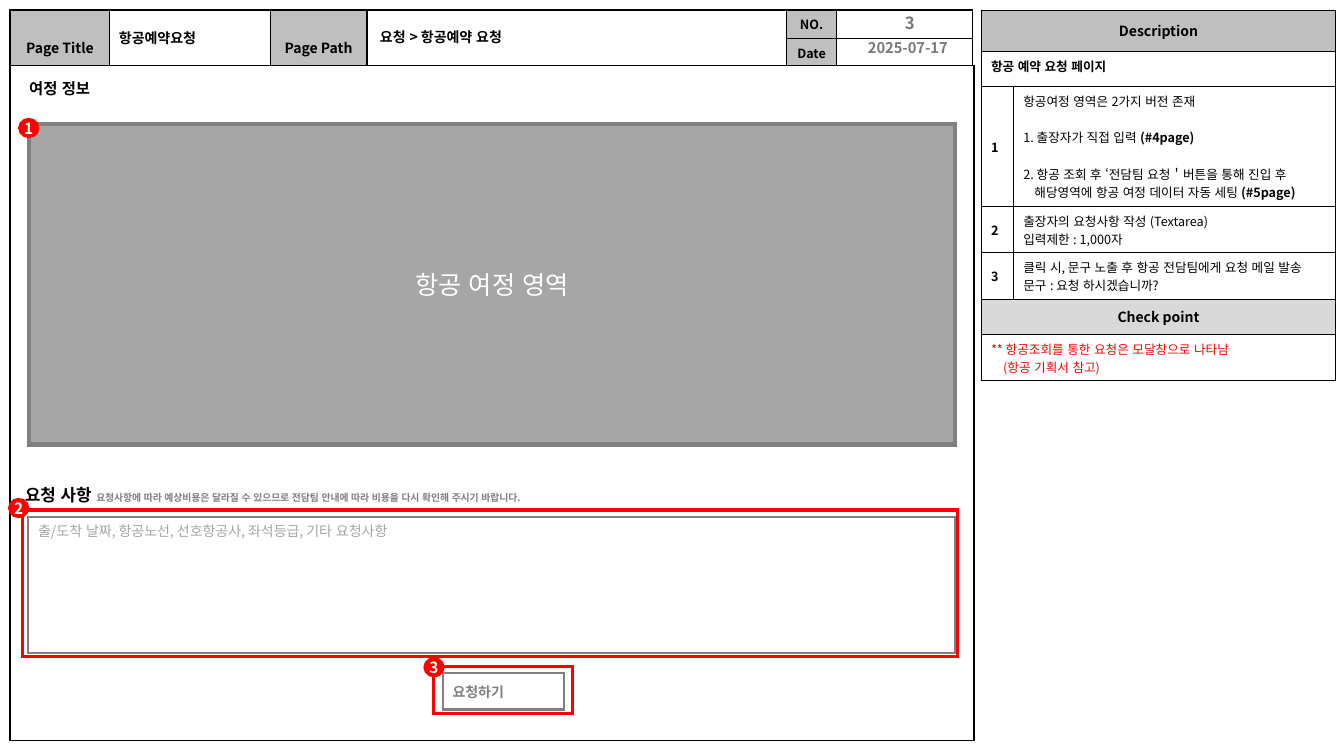
from dataclasses import dataclass

from lxml.etree import SubElement
from pptx import Presentation
from pptx.dml.color import RGBColor
from pptx.enum.lang import MSO_LANGUAGE_ID
from pptx.enum.shapes import MSO_SHAPE
from pptx.enum.text import MSO_ANCHOR, MSO_AUTO_SIZE, PP_ALIGN
from pptx.oxml.ns import qn
from pptx.util import Inches, Pt

FONT = "Noto Sans CJK KR"
BLACK, WHITE, RED = "000000", "FFFFFF", "FF0000"
HEADER, SUBHEADER, OUTLINE, HINT, META = "BFBFBF", "D9D9D9", "808080", "A6A6A6", "797979"
LEFT, CENTER, RIGHT, JUSTIFY = PP_ALIGN.LEFT, PP_ALIGN.CENTER, PP_ALIGN.RIGHT, PP_ALIGN.JUSTIFY
TOP, MIDDLE = MSO_ANCHOR.TOP, MSO_ANCHOR.MIDDLE
# The slide is a grid of one-inch columns and rows.
COLUMNS, ROWS = 13.33, 7.5
MARGIN = 0.1
FRAME_WIDTH = 9.56
DESCRIPTION_LEFT = 9.73
ONE_LINE, TWO_LINES, SIX_LINES = 0.35, 0.46, 1.19


@dataclass
class Line:
    """One paragraph: runs are strings or (string, format) pairs."""
    runs: list
    before: float = 0
    indent: float = 0


def color(hex_value):
    return RGBColor.from_string(hex_value)


def place(*cells):
    return [Inches(cell) for cell in cells]


def paint(target, fill):
    target.fill.solid()
    target.fill.fore_color.rgb = color(fill)


def format_run(run, size, ink, bold):
    run.font.size = Pt(size)
    run.font.bold = bold
    run.font.color.rgb = color(ink)
    run.font.name = FONT
    run.font.language_id = MSO_LANGUAGE_ID.KOREAN
    SubElement(run.font._element, qn("a:ea"), typeface=FONT)


def write(frame, content, size=10, ink=BLACK, bold=False, align=LEFT):
    """Fill a text frame with a string or a list of Line objects."""
    lines = [Line([content])] if isinstance(content, str) else content
    for index, line in enumerate(lines):
        paragraph = frame.add_paragraph() if index else frame.paragraphs[0]
        paragraph.alignment = align
        if line.before:
            paragraph.space_before = Pt(line.before)
        if line.indent:
            paragraph._p.get_or_add_pPr().set("marL", str(Inches(line.indent)))
        for part in line.runs:
            text, changes = (part, {}) if isinstance(part, str) else part
            run = paragraph.add_run()
            run.text = text
            format_run(run, **{"size": size, "ink": ink, "bold": bold, **changes})


def fill_shape(shape, content, anchor=MIDDLE, **style):
    shape.text_frame.word_wrap = True
    shape.text_frame.vertical_anchor = anchor
    write(shape.text_frame, content, **style)


def fill_cell(cell, content, fill=WHITE, anchor=MIDDLE, size=9, **style):
    paint(cell, fill)
    cell.vertical_anchor = anchor
    write(cell.text_frame, content, size=size, **style)


def add_label(slide, cells, content, **style):
    fill_shape(slide.shapes.add_textbox(*place(*cells)), content, **style)


def add_box(slide, cells, content="", fill=None, line=WHITE, weight=1.5,
            preset=MSO_SHAPE.RECTANGLE, **style):
    box = slide.shapes.add_shape(preset, *place(*cells))
    box.shadow.inherit = False
    if fill:
        paint(box, fill)
    else:
        box.fill.background()
    box.line.color.rgb = color(line)
    box.line.width = Pt(weight)
    SubElement(box.line._get_or_add_ln(), qn("a:miter"), lim="800000")
    if content:
        fill_shape(box, content, **style)
    return box


def add_marker(slide, number, left, top):
    marker = add_box(slide, (left, top, 0.19, 0.18), str(number), fill=RED, line=RED,
                     preset=MSO_SHAPE.OVAL, size=11, ink=WHITE, bold=True, align=CENTER)
    frame = marker.text_frame
    frame.margin_left = frame.margin_right = frame.margin_top = frame.margin_bottom = 0
    frame.word_wrap = False


def add_highlight(slide, cells):
    add_box(slide, cells, line=RED, weight=2.25)


def border_cell(cell, weight):
    properties = cell._tc.get_or_add_tcPr()
    for position, side in enumerate(("lnL", "lnR", "lnT", "lnB")):
        edge = SubElement(properties, qn(f"a:{side}"), w=str(Pt(weight)))
        fill = SubElement(edge, qn("a:solidFill"))
        SubElement(fill, qn("a:srgbClr"), val=BLACK)
        properties.insert(position, edge)


def add_grid(slide, left, top, widths, heights, weight=1):
    """Add a white table with black borders."""
    area = place(left, top, sum(widths), sum(heights))
    table = slide.shapes.add_table(len(heights), len(widths), *area).table
    table.first_row = table.horz_banding = False
    for column, width in zip(table.columns, widths):
        column.width = Inches(width)
    for row, height in zip(table.rows, heights):
        row.height = Inches(height)
    for cell in table.iter_cells():
        paint(cell, WHITE)
        border_cell(cell, weight)
    return table


def add_page_header(slide):
    header = add_grid(slide, MARGIN, MARGIN, [0.99, 1.59, 0.96, 4.16, 0.5, 1.35], [0.2, 0.2])
    for cell in header.iter_cells():
        SubElement(cell.text_frame.paragraphs[0]._p, qn("a:endParaRPr"), sz="900")
    for column in range(4):
        header.cell(0, column).merge(header.cell(1, column))
    for column, name in ((0, "Page Title"), (2, "Page Path")):
        fill_cell(header.cell(0, column), name, fill=HEADER, size=10, bold=True, align=CENTER)
    for row, name in enumerate(("NO.", "Date.")):
        fill_cell(header.cell(row, 4), name, fill=HEADER, anchor=TOP, bold=True, align=CENTER)
    add_grid(slide, MARGIN, 0.65, [FRAME_WIDTH], [6.7])
    add_label(slide, (8.75, 0.1, 0.42, 0.25), "3", size=12, ink=META, bold=True, align=RIGHT)
    add_label(slide, (8.51, 0.31, 1.15, 0.32), "2025-07-17", size=10.5, ink=META, bold=True)


def add_description(slide):
    heights = [0.41, ONE_LINE, SIX_LINES, TWO_LINES, TWO_LINES, ONE_LINE, TWO_LINES]
    table = add_grid(slide, DESCRIPTION_LEFT, MARGIN, [0.32, 3.2], heights, 0.75)
    for row in (0, 1, 5, 6):
        table.cell(row, 0).merge(table.cell(row, 1))
    for row, name, fill in ((0, "Description", HEADER), (5, "Check point", SUBHEADER)):
        fill_cell(table.cell(row, 0), name, fill=fill, size=10, bold=True, align=CENTER)
    fill_cell(table.cell(1, 0), "항공 예약 요청 페이지", anchor=TOP, bold=True)
    strong = {"bold": True}
    notes = [
        [Line(["항공여정 영역은 2가지 버전 존재"]),
         Line(["1. 출장자가 직접 입력 ", ("(#4page)", strong)], before=13),
         Line(["2. 항공 조회 후 ‘전담팀 요청＇버튼을 통해 진입 후"], before=13),
         Line(["해당영역에 항공 여정 데이터 자동 세팅 ", ("(#5page)", strong)], indent=0.11)],
        [Line(["출장자의 요청사항 작성 (Textarea)"]), Line(["입력제한 : 1,000자"])],
        [Line(["클릭 시, 문구 노출 후 항공 전담팀에게 요청 메일 발송"]),
         Line(["문구 : 요청 하시겠습니까?"])],
    ]
    for number, note in enumerate(notes, 1):
        fill_cell(table.cell(number + 1, 0), str(number), bold=True)
        fill_cell(table.cell(number + 1, 1), note)
    fill_cell(table.cell(6, 0), [Line(["** 항공조회를 통한 요청은 모달창으로 나타남"]),
                                 Line(["(항공 기획서 참고)"], indent=0.12)], anchor=TOP, ink=RED)


def add_page_title(slide):
    title = slide.shapes.title
    title.left, title.top, title.width, title.height = place(1.08, 0.24, 1.47, 0.27)
    fill_shape(title, "항공예약요청", bold=True, anchor=TOP)
    title.text_frame.auto_size = MSO_AUTO_SIZE.NONE
    slide.shapes.element.append(title.element)
    add_label(slide, (3.67, 0.23, 2.82, 0.27), "요청 > 항공예약 요청", bold=True, anchor=TOP)


def add_request_form(slide):
    add_box(slide, (0.19, 0.71, 1.73, 0.33), "여정 정보", fill=WHITE, size=11, bold=True)
    add_box(slide, (0.29, 1.23, 9.18, 3.18), "항공 여정 영역", fill=HINT, line=OUTLINE,
            weight=3, size=18, ink=WHITE, align=CENTER)
    add_marker(slide, 1, 0.19, 1.18)
    notice = "요청사항에 따라 예상비용은 달라질 수 있으므로 전담팀 안내에 따라 비용을 다시 확인해 주시기 바랍니다."
    add_box(slide, (0.15, 4.81, 8.94, 0.2),
            [Line(["요청 사항 ", (notice, {"size": 7, "ink": OUTLINE})])],
            fill=WHITE, size=12, bold=True)
    add_box(slide, (0.28, 5.13, 9.19, 1.35), "출/도착 날짜, 항공노선, 선호항공사, 좌석등급, 기타 요청사항",
            fill=WHITE, line=OUTLINE, ink=HINT, anchor=TOP)
    add_box(slide, (4.39, 6.68, 1.2, 0.36), "요청하기", fill=WHITE, line=OUTLINE,
            ink=OUTLINE, bold=True, align=JUSTIFY)
    add_highlight(slide, (4.3, 6.61, 1.38, 0.47))
    add_marker(slide, 3, 4.21, 6.53)
    add_highlight(slide, (0.22, 5.06, 9.28, 1.45))
    add_marker(slide, 2, 0.09, 4.95)


def main():
    deck = Presentation()
    deck.slide_width, deck.slide_height = place(COLUMNS, ROWS)
    slide = deck.slides.add_slide(deck.slide_layouts[5])
    add_page_header(slide)
    add_description(slide)
    add_page_title(slide)
    add_request_form(slide)
    deck.save("out.pptx")


if __name__ == "__main__":
    main()
